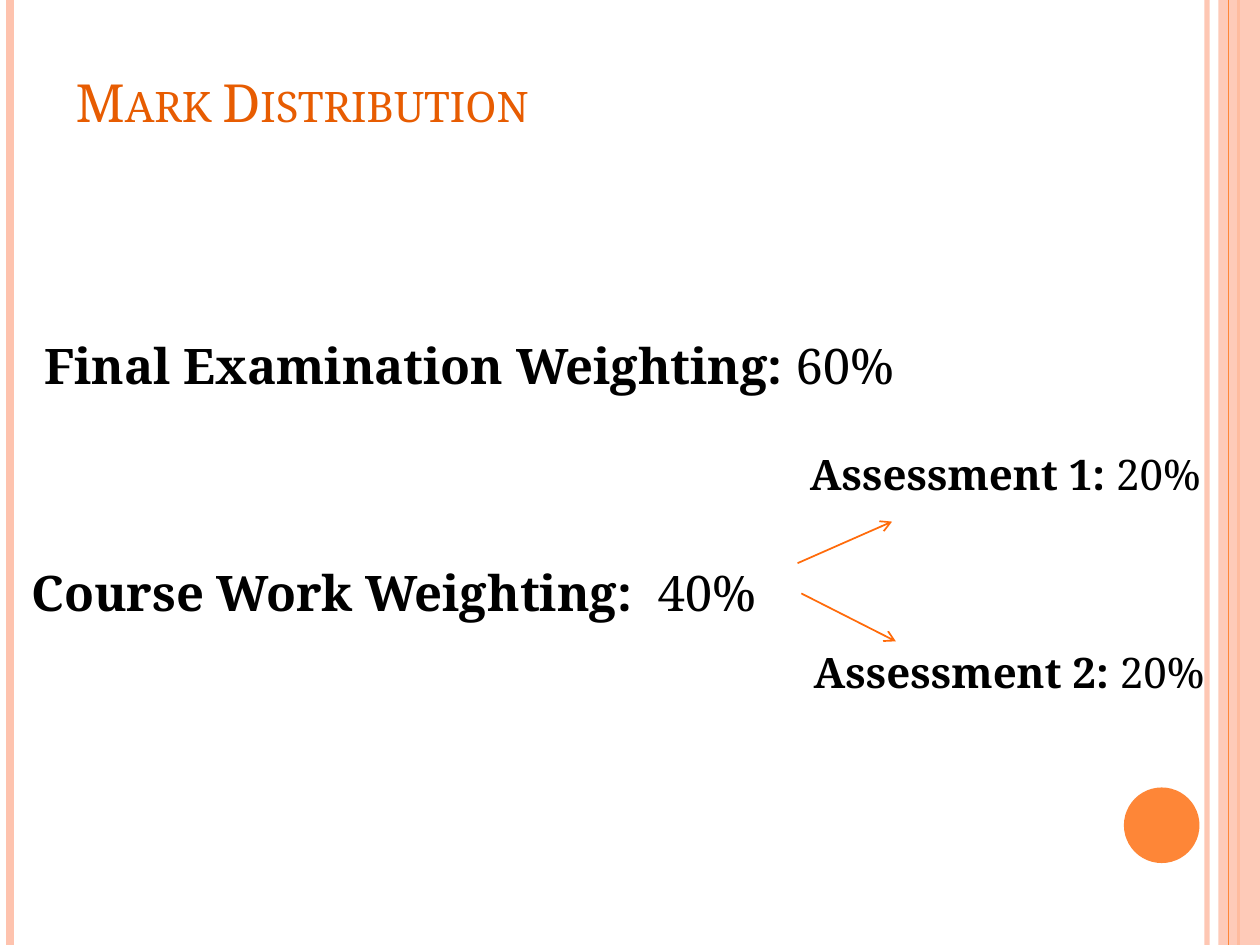
"""Build the mark distribution slide."""
from dataclasses import dataclass

from lxml import etree
from pptx import Presentation
from pptx import util as u
from pptx.dml.color import RGBColor
from pptx.enum import shapes, text
from pptx.oxml import ns

WIDTH, HEIGHT = 10, 7.5
FONT = "Noto Serif"
PALE, ORANGE, ARROW, TITLE, BLACK = "FEC3AE", "FE8637", "FF6B0A", "E75C01", "000000"


@dataclass
class Rule:
    """A straight line with optional arrowhead."""
    start: tuple
    end: tuple
    color: str
    weight: float
    opacity: int = 100
    arrow: bool = False


@dataclass
class Block:
    """A filled preset shape."""
    kind: shapes.MSO_SHAPE
    area: tuple
    color: str
    opacity: int = 100


@dataclass
class Mark:
    """A bold label with its share of the marks."""
    label: str
    share: str
    size: int
    gap: float = 0


def edge(left: float, color: str, weight: float, opacity: int = 100) -> Rule:
    """Return a line running down the full slide."""
    return Rule((left, 0), (left, HEIGHT), color, weight, opacity)


def hue(value: str) -> RGBColor:
    """Turn a hex string into a colour."""
    return RGBColor.from_string(value)


def child(parent, tag: str, **values):
    """Append a drawing element with attributes."""
    return etree.SubElement(parent, ns.qn(f"a:{tag}"), values)


def fade(shape, opacity: int) -> None:
    """Set the opacity of the first colour of a shape."""
    if opacity < 100:
        color = next(shape._element.spPr.iter(ns.qn("a:srgbClr")))
        child(color, "alpha", val=str(opacity * 1000))


def draw_rule(page, rule: Rule) -> None:
    """Draw one line or arrow."""
    ends = [u.Inches(n) for n in (*rule.start, *rule.end)]
    line = page.shapes.add_connector(shapes.MSO_CONNECTOR.STRAIGHT, *ends)
    line.line.color.rgb = hue(rule.color)
    line.line.width = u.Pt(rule.weight)
    fade(line, rule.opacity)
    if rule.arrow:
        child(line.line._get_or_add_ln(), "tailEnd", type="arrow")
    child(line._element.spPr, "effectLst")


def draw_block(page, block: Block) -> None:
    """Draw one filled shape without outline."""
    shape = page.shapes.add_shape(block.kind, *map(u.Inches, block.area))
    shape.shadow.inherit = False
    shape.fill.solid()
    shape.fill.fore_color.rgb = hue(block.color)
    shape.line.fill.background()
    fade(shape, block.opacity)


def place(box, area: tuple, **frame) -> None:
    """Move a box and format its text frame."""
    box.left, box.top, box.width, box.height = map(u.Inches, area)
    for name, value in frame.items():
        setattr(box.text_frame, name, value)


def add_span(para, words: str, color: str, **values):
    """Add a formatted run to a paragraph."""
    span = para.add_run()
    span.text = words
    span.font.color.rgb = hue(color)
    for name, value in {"name": FONT, **values}.items():
        setattr(span.font, name, value)
    return span


def write_mark(para, mark: Mark) -> None:
    """Write a label and share as one unbulleted paragraph."""
    para.alignment = text.PP_ALIGN.LEFT
    para.space_before = u.Pt(mark.gap)
    props = para._p.get_or_add_pPr()
    props.set("marL", "0")
    props.set("indent", "0")
    child(props, "buNone")
    for words, bold in ((mark.label, True), (mark.share, False)):
        add_span(para, words, BLACK, size=u.Pt(mark.size), bold=bold)


RULES = [
    edge(9.58, PALE, 3, 93),
    edge(0.08, PALE, 4.5),
    edge(9.83, ORANGE, 1.5),
]
BAND = Block(shapes.MSO_SHAPE.RECTANGLE, (9.67, 0, 0.33, HEIGHT), PALE, 87)
DISC = Block(shapes.MSO_SHAPE.OVAL, (8.92, 6.25, 0.6, 0.6), ORANGE)
ARROWS = [
    Rule((6.33, 4.47), (7.08, 4.14), ARROW, 1, arrow=True),
    Rule((6.36, 4.71), (7.11, 5.09), ARROW, 1, arrow=True),
]
TOTALS = [
    Mark(" Final Examination Weighting: ", "60%", 28),
    Mark("Course Work Weighting:  ", "40%", 28, 96),
]
PARTS = [
    ((6.33, 3.51, 3.36, 0.5), Mark("Assessment 1: ", "20%", 24)),
    ((6.36, 5.08, 3.35, 0.5), Mark("Assessment 2: ", "20%", 24)),
]


def main() -> None:
    """Assemble and save the slide."""
    deck = Presentation()
    deck.slide_width, deck.slide_height = u.Inches(WIDTH), u.Inches(HEIGHT)
    page = deck.slides.add_slide(deck.slide_layouts[1])
    for rule in RULES:
        draw_rule(page, rule)
    draw_block(page, BAND)
    draw_rule(page, edge(9.75, ORANGE, 0.75))
    draw_block(page, DISC)

    title, body = page.placeholders
    place(title, (0.5, 0.3, 8.17, 0.78), margin_bottom=u.Inches(0.02),
          vertical_anchor=text.MSO_ANCHOR.BOTTOM)
    heading = title.text_frame.paragraphs[0]
    heading.alignment = text.PP_ALIGN.LEFT
    span = add_span(heading, "Mark Distribution", TITLE, size=u.Pt(30))
    span._r.get_or_add_rPr().set("cap", "small")

    place(body, (0.15, 1.58, 7.33, 3.4), vertical_anchor=text.MSO_ANCHOR.BOTTOM)
    frame = body.text_frame
    for index, mark in enumerate(TOTALS):
        write_mark(frame.add_paragraph() if index else frame.paragraphs[0], mark)

    for arrow in ARROWS:
        draw_rule(page, arrow)
    for area, mark in PARTS:
        box = page.shapes.add_textbox(0, 0, 0, 0)
        place(box, area, word_wrap=False, auto_size=text.MSO_AUTO_SIZE.SHAPE_TO_FIT_TEXT)
        write_mark(box.text_frame.paragraphs[0], mark)
    deck.save("out.pptx")


main()
